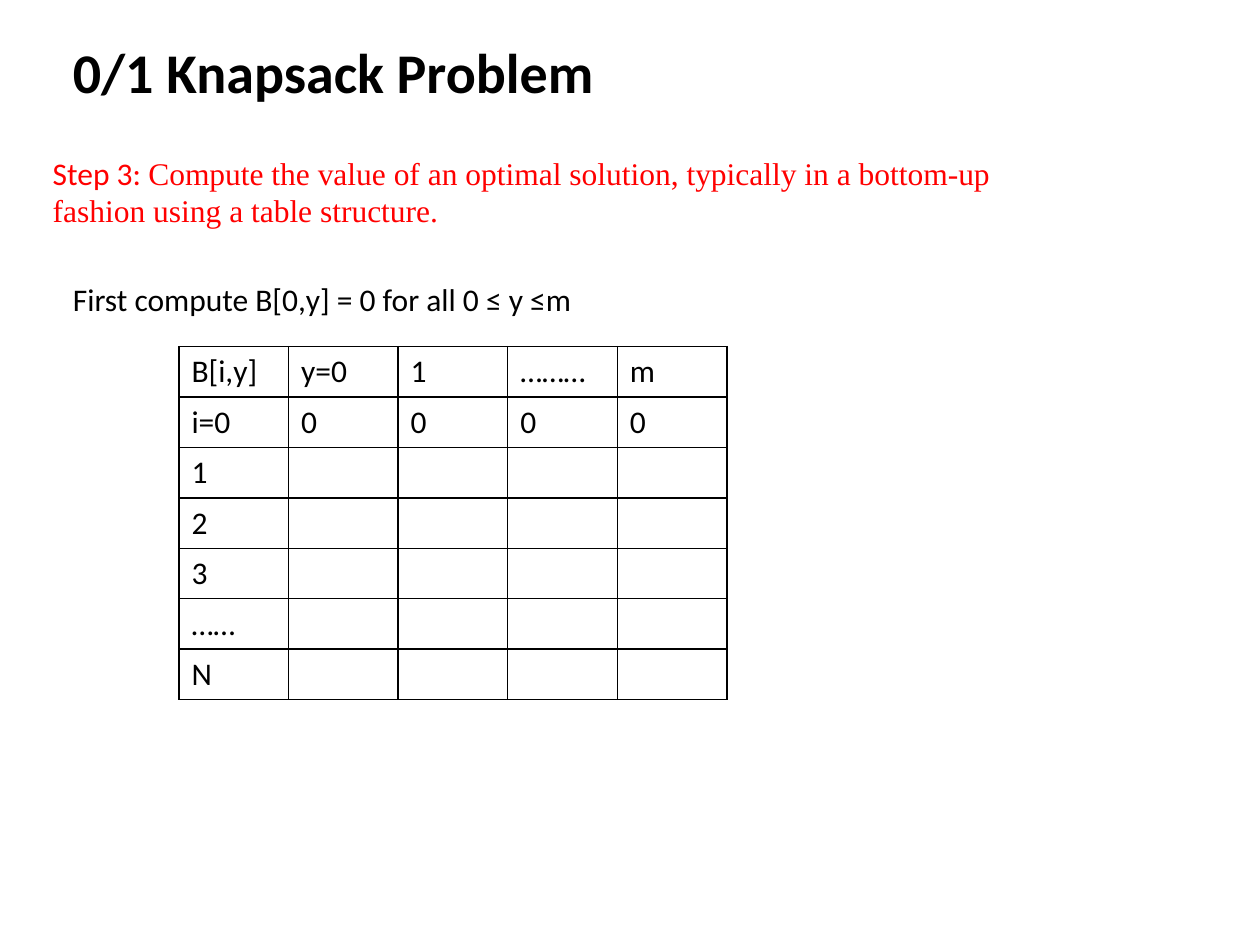
from lxml.etree import SubElement
from pptx import Presentation
from pptx.dml.color import RGBColor
from pptx.enum.text import MSO_AUTO_SIZE as AutoSize
from pptx.oxml.ns import qn
from pptx.util import Inches, Pt

BLACK, RED = "000000", "FF0000"
COLUMNS = 5
ROWS = [
    ["B[i,y]", "y=0", "1", "………", "m"],
    ["i=0"] + ["0"] * (COLUMNS - 1),
    ["1"],
    ["2"],
    ["3"],
    ["……"],
    ["N"],
]


def rgb(color):
    return RGBColor.from_string(color)


def add_run(p, text, size=18, color=BLACK, font="Calibri", bold=False):
    r = p.add_run()
    r.text = text
    r.font.name = font
    r.font.size = Pt(size)
    r.font.bold = bold
    r.font.color.rgb = rgb(color)


def add_text(slide, left, top, width, height, wrap=True):
    sp = slide.shapes.add_textbox(
        Inches(left), Inches(top), Inches(width), Inches(height))
    tf = sp.text_frame
    tf.word_wrap = wrap
    tf.auto_size = AutoSize.SHAPE_TO_FIT_TEXT
    return tf.paragraphs[0]


def add_borders(cell, color=BLACK, width=1):
    tc_pr = cell._tc.get_or_add_tcPr()
    for side in ("lnL", "lnR", "lnT", "lnB"):
        ln = SubElement(tc_pr, qn(f"a:{side}"), w=str(Pt(width)))
        fill = SubElement(ln, qn("a:solidFill"))
        SubElement(fill, qn("a:srgbClr"), val=color)


def add_grid(slide, rows, left, top, col_width, row_height):
    table = slide.shapes.add_table(
        len(rows), COLUMNS, Inches(left), Inches(top),
        Inches(col_width * COLUMNS), Inches(row_height * len(rows))).table
    table.first_row = False
    table.horz_banding = False
    for cell in table.iter_cells():
        add_borders(cell)
        cell.fill.background()
    for i, values in enumerate(rows):
        for j, value in enumerate(values):
            add_run(table.cell(i, j).text_frame.paragraphs[0], value)


def main():
    prs = Presentation()
    prs.slide_width, prs.slide_height = Inches(10), Inches(7.5)
    slide = prs.slides.add_slide(prs.slide_layouts[6])

    title = add_text(slide, 0.48, 0.25, 4.37, 0.64, wrap=False)
    add_run(title, "0/1 Knapsack Problem", size=32, bold=True)

    step = add_text(slide, 0.32, 1.17, 8.25, 0.71)
    add_run(step, "Step 3: ", color=RED)
    add_run(step, "Compute the value of an optimal solution, typically in a "
            "bottom-up fashion using a table structure.",
            color=RED, font="Times New Roman")

    first = add_text(slide, 0.48, 2.17, 5.61, 0.4)
    add_run(first, "First compute B[0,y] = 0 for all 0 ≤ y ≤m")

    add_grid(slide, ROWS, 1.42, 2.75, 0.87, 0.4)
    prs.save("out.pptx")


if __name__ == "__main__":
    main()
